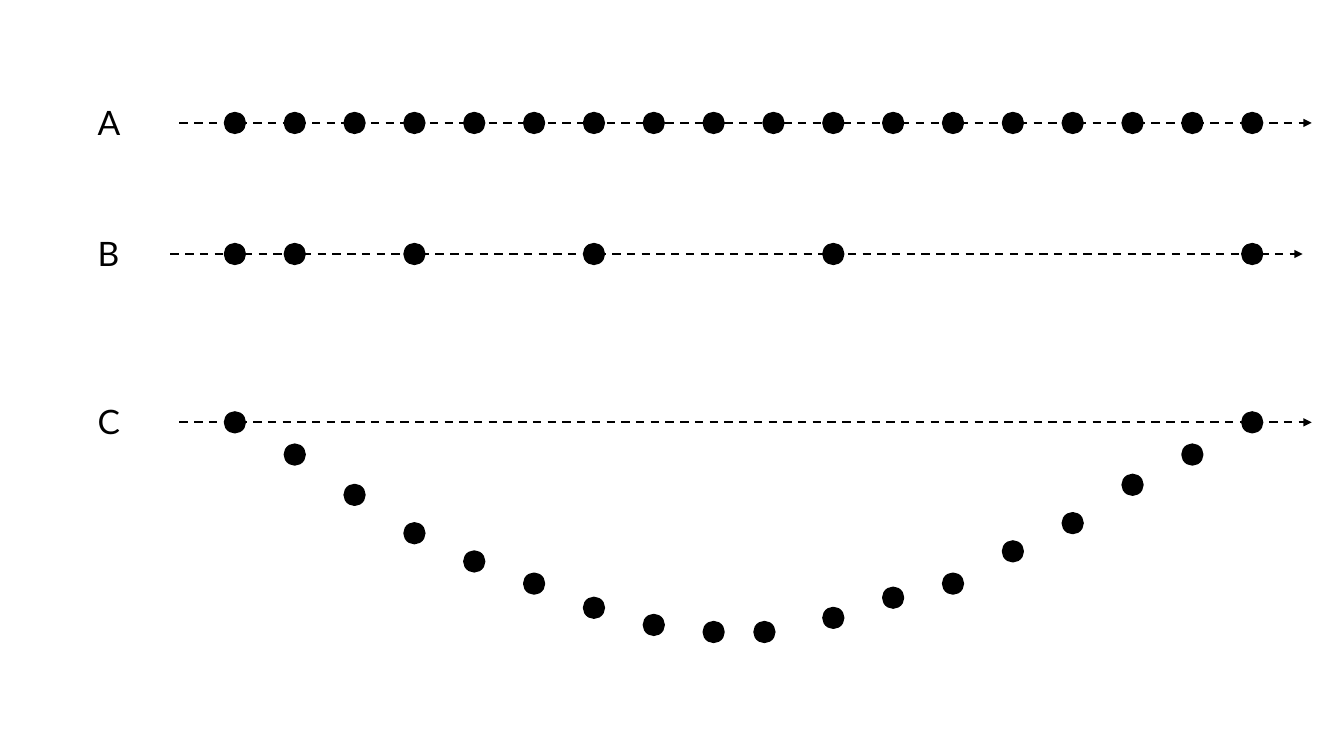
"""Build a slide of three dotted tracks: even, widening and curved."""
from dataclasses import dataclass

from lxml.etree import SubElement
from pptx import Presentation
from pptx.dml.color import RGBColor
from pptx.enum.dml import MSO_LINE
from pptx.enum.shapes import MSO_CONNECTOR, MSO_SHAPE
from pptx.enum.text import MSO_AUTO_SIZE
from pptx.oxml.ns import qn
from pptx.slide import Slide
from pptx.util import Inches, Pt


@dataclass(frozen=True)
class Theme:
    ink: RGBColor = RGBColor(0, 0, 0)
    font: str = "Lato"
    size: Pt = Pt(24)
    line: Pt = Pt(1.5)


@dataclass(frozen=True)
class Dot:
    step: int
    drop: float = 0
    shift: float = 0


@dataclass(frozen=True)
class Track:
    name: str
    y: float
    start: float
    dots: list[Dot]


THEME = Theme()
LEFT = 2.33
STEPS = 17
PITCH = 10.09 / STEPS
SIZE = 0.2
LENGTH = 11.23
DROPS = [0, 0.32, 0.72, 1.1, 1.38, 1.6, 1.84, 2.01, 2.08,
         2.08, 1.94, 1.74, 1.6, 1.28, 1, 0.62, 0.32, 0]
SHIFTS = {9: -0.09}

TRACKS = [
    Track("A", 1.22, 1.78, [Dot(step) for step in range(STEPS + 1)]),
    Track("B", 2.52, 1.69, [Dot(step) for step in (0, 1, 3, 6, 10, 17)]),
    Track("C", 4.19, 1.78, [Dot(step, drop, SHIFTS.get(step, 0))
                            for step, drop in enumerate(DROPS)]),
]


def add_arrow(slide: Slide, track: Track) -> None:
    y = Inches(track.y)
    arrow = slide.shapes.add_connector(
        MSO_CONNECTOR.STRAIGHT, Inches(track.start), y,
        Inches(track.start + LENGTH), y)
    arrow.line.color.rgb = THEME.ink
    arrow.line.width = THEME.line
    arrow.line.dash_style = MSO_LINE.DASH
    SubElement(arrow.line._get_or_add_ln(), qn("a:tailEnd"), type="triangle")
    SubElement(arrow._element.spPr, qn("a:effectLst"))


def add_dot(slide: Slide, dot: Dot, y: float) -> None:
    x = LEFT + dot.step * PITCH + dot.shift
    disc = slide.shapes.add_shape(
        MSO_SHAPE.OVAL, Inches(x - SIZE / 2), Inches(y + dot.drop - SIZE / 2),
        Inches(SIZE), Inches(SIZE))
    disc.shadow.inherit = False
    disc.fill.solid()
    disc.fill.fore_color.rgb = THEME.ink
    disc.line.color.rgb = THEME.ink
    disc.line.width = THEME.line


def add_label(slide: Slide, track: Track) -> None:
    box = slide.shapes.add_textbox(
        Inches(0.87), Inches(track.y - 0.26), Inches(0.53), Inches(0.5))
    frame = box.text_frame
    frame.word_wrap = True
    frame.auto_size = MSO_AUTO_SIZE.SHAPE_TO_FIT_TEXT
    frame.text = track.name
    font = frame.paragraphs[0].font
    font.name = THEME.font
    font.size = THEME.size
    font.color.rgb = THEME.ink


def main() -> None:
    deck = Presentation()
    deck.slide_width = Inches(13.33)
    deck.slide_height = Inches(7.5)
    slide = deck.slides.add_slide(deck.slide_layouts[6])
    for track in TRACKS:
        add_arrow(slide, track)
        add_label(slide, track)
        for dot in track.dots:
            add_dot(slide, dot, track.y)
    deck.save("out.pptx")


if __name__ == "__main__":
    main()
